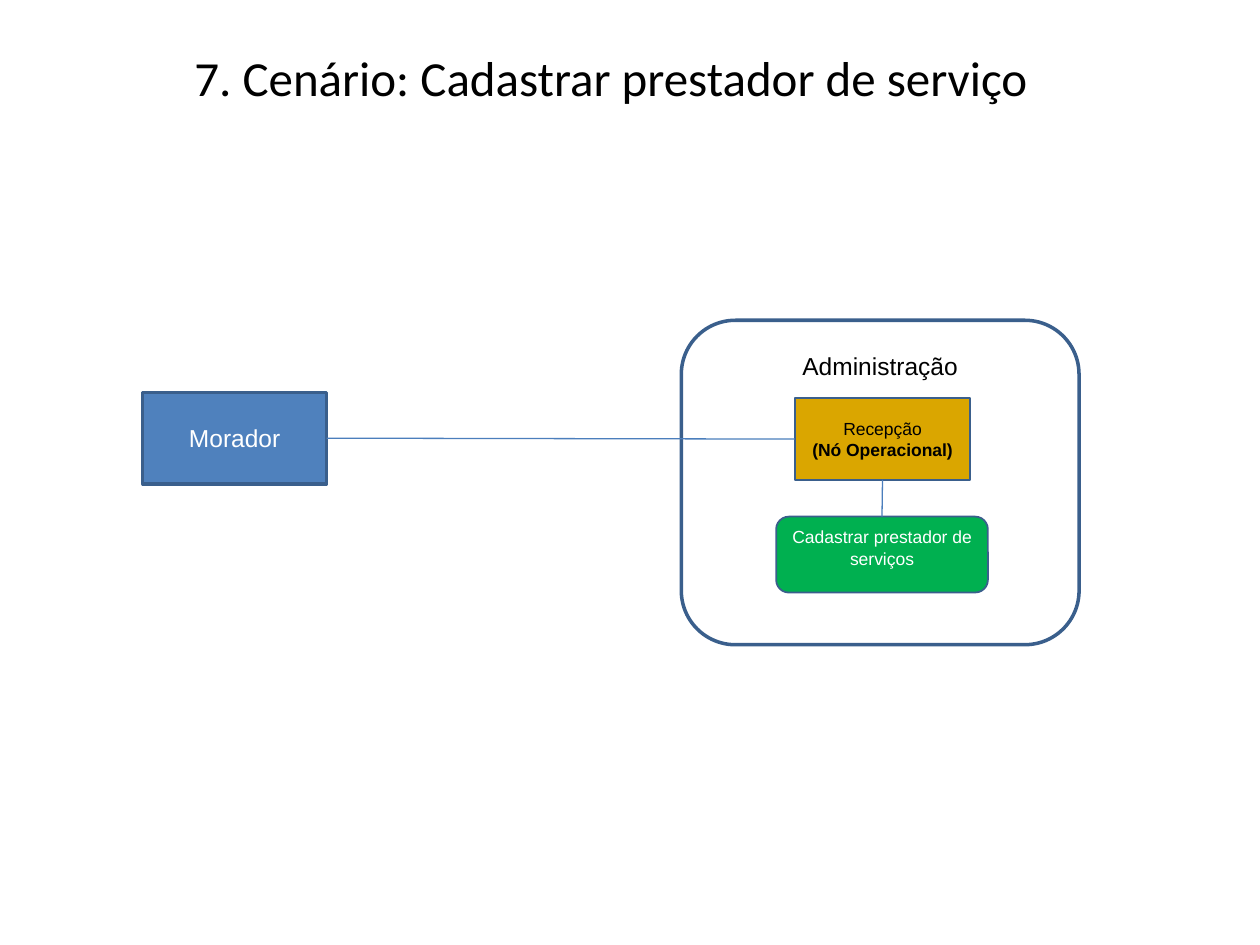
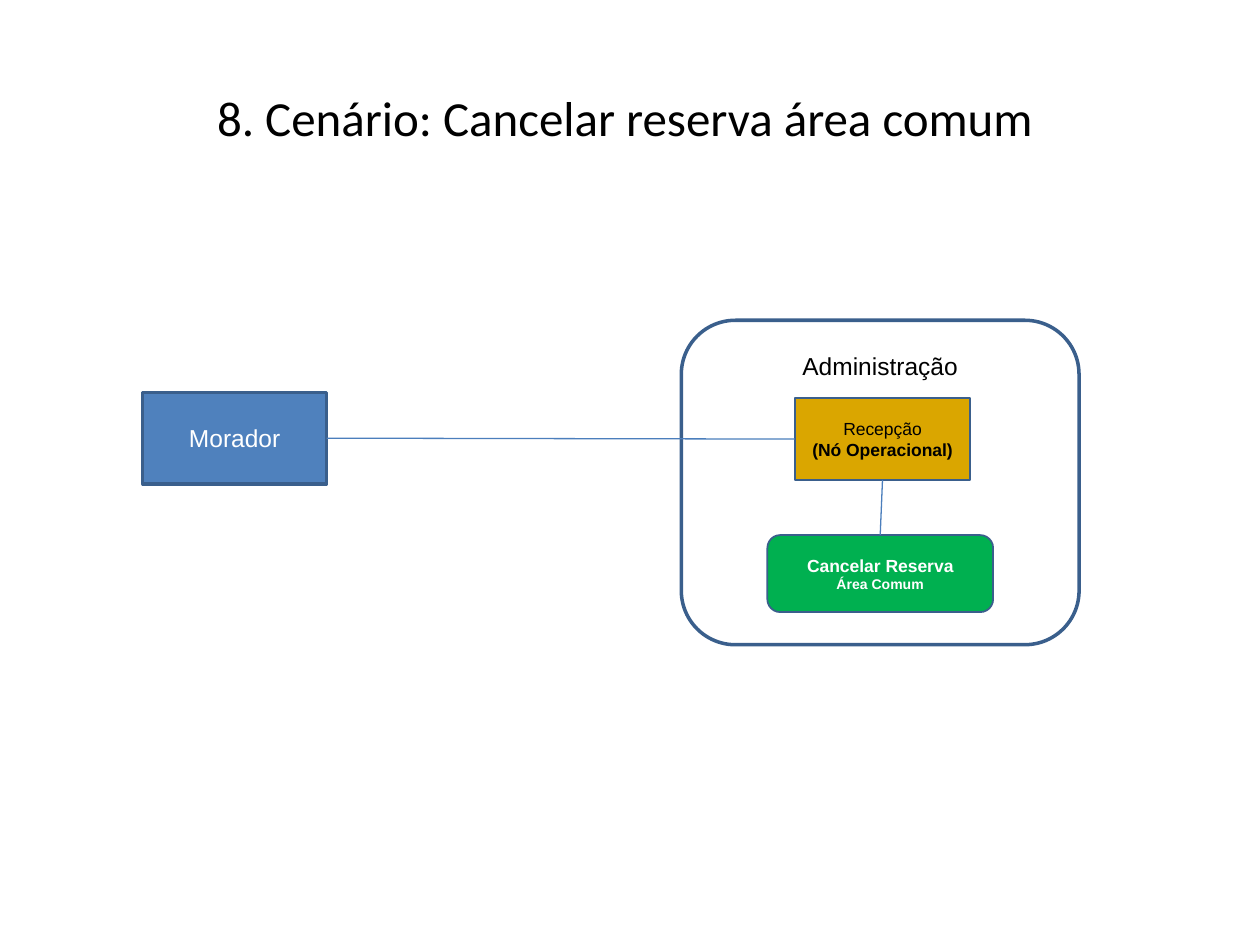
import pptx
import pptx.dml.color
import pptx.enum.shapes
import pptx.enum.text
import pptx.oxml.ns
import pptx.util
import lxml.etree

Pt = pptx.util.Pt
ANCHOR = pptx.enum.text.MSO_ANCHOR
SHAPE = pptx.enum.shapes.MSO_SHAPE
BLACK, WHITE = "000000", "FFFFFF"
BLUE, GOLD, GREEN = "4F81BD", "DAA600", "00B050"
OUTLINE, LINK = "3A5F8C", "4B7EBC"
LEFT, TOP, RIGHT, BOTTOM = 1, 0, 3, 2


def color(value):
    return pptx.dml.color.RGBColor.from_string(value)


def write(frame, text, sizes=(14,), bolds=(False,), ink=BLACK, font="Arial",
          anchor=ANCHOR.MIDDLE, top=3.6, right=3.6):
    frame.word_wrap = True
    frame.auto_size = pptx.enum.text.MSO_AUTO_SIZE.NONE
    frame.vertical_anchor = anchor
    frame.margin_left, frame.margin_right = Pt(3.6), Pt(right)
    frame.margin_top, frame.margin_bottom = Pt(top), Pt(3.6)
    frame.text = text
    for paragraph, size, bold in zip(frame.paragraphs, sizes, bolds):
        paragraph.alignment = pptx.enum.text.PP_ALIGN.CENTER
        paragraph.font.size = Pt(size)
        paragraph.font.bold = bold
        paragraph.font.name = font
        paragraph.font.color.rgb = color(ink)


scenarios = [
    {
        "title": "7. Cenário: Cadastrar prestador de serviço",
        "title_at": (28, 27.4),
        "title_format": {"anchor": ANCHOR.TOP, "top": 0},
        "activity": "Cadastrar prestador de serviços",
        "activity_at": (443.5, 295.2, 121, 43.4),
        "activity_format": {"sizes": (10,), "anchor": ANCHOR.TOP},
    },
    {
        "title": "8. Cenário: Cancelar reserva área comum",
        "title_at": (36, 21.6),
        "title_format": {},
        "activity": "Cancelar Reserva\nÁrea Comum",
        "activity_at": (438.5, 305.8, 129, 44),
        "activity_format": {"sizes": (10, 8), "bolds": (True, True)},
    },
]

presentation = pptx.Presentation()
presentation.slide_width, presentation.slide_height = Pt(720), Pt(540)

for scenario in scenarios:
    slide = presentation.slides.add_slide(presentation.slide_layouts[5])
    title = slide.shapes.title
    title.left, title.top = map(Pt, scenario["title_at"])
    title.width, title.height = Pt(648), Pt(90)
    write(title.text_frame, scenario["title"], sizes=(28,), font="Calibri",
          right=9.6, **scenario["title_format"])

    boxes = [
        ("resident", SHAPE.RECTANGLE, (81.5, 224.3, 105.2, 52.2), BLUE, 2,
         "Morador", {"ink": WHITE}),
        ("administration", SHAPE.ROUNDED_RECTANGLE, (389.3, 183, 227.3, 185.4), None, 2,
         "Administração", {"anchor": ANCHOR.TOP, "top": 8.6}),
        ("reception", SHAPE.RECTANGLE, (454.3, 227.5, 100, 46.8), GOLD, 1,
         "Recepção\n(Nó Operacional)", {"sizes": (10, 10), "bolds": (False, True)}),
        ("activity", SHAPE.ROUNDED_RECTANGLE, scenario["activity_at"], GREEN, 1,
         scenario["activity"], {"ink": WHITE, **scenario["activity_format"]}),
    ]
    shapes = {}
    for name, kind, bounds, fill, line_width, text, text_format in boxes:
        shape = slide.shapes.add_shape(kind, *map(Pt, bounds))
        shape.shadow.inherit = False
        if fill:
            shape.fill.solid()
            shape.fill.fore_color.rgb = color(fill)
        else:
            shape.fill.background()
        shape.line.color.rgb = color(OUTLINE)
        shape.line.width = Pt(line_width)
        write(shape.text_frame, text, **text_format)
        shapes[name] = shape

    for start, start_side, end, end_side in [
        ("resident", RIGHT, "reception", LEFT),
        ("reception", BOTTOM, "activity", TOP),
    ]:
        connector = slide.shapes.add_connector(
            pptx.enum.shapes.MSO_CONNECTOR.STRAIGHT, 0, 0, 0, 0)
        connector.begin_connect(shapes[start], start_side)
        connector.end_connect(shapes[end], end_side)
        connector.line.color.rgb = color(LINK)
        connector.line.width = Pt(0.75)
        lxml.etree.SubElement(connector._element.spPr, pptx.oxml.ns.qn("a:effectLst"))

presentation.save("out.pptx")
